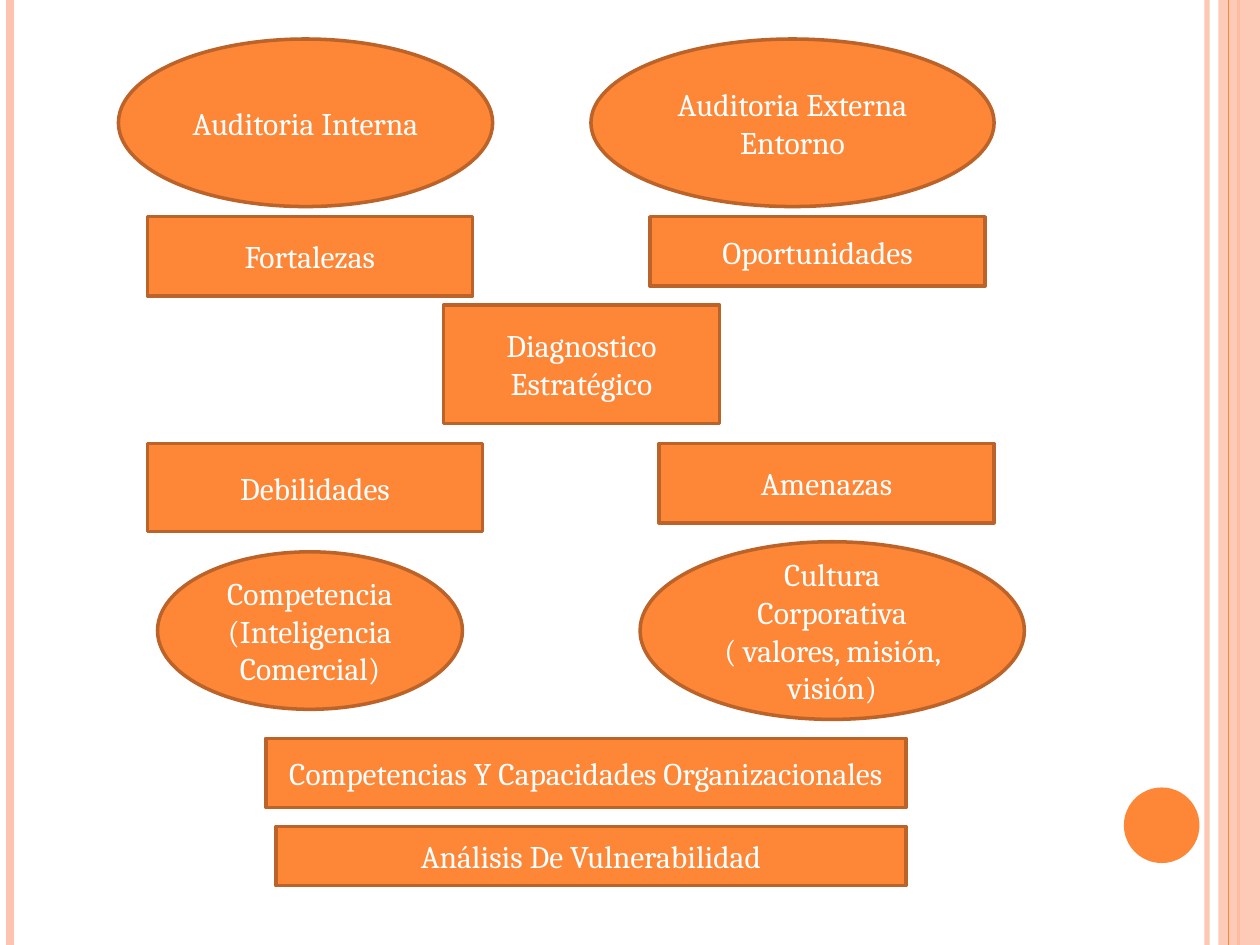
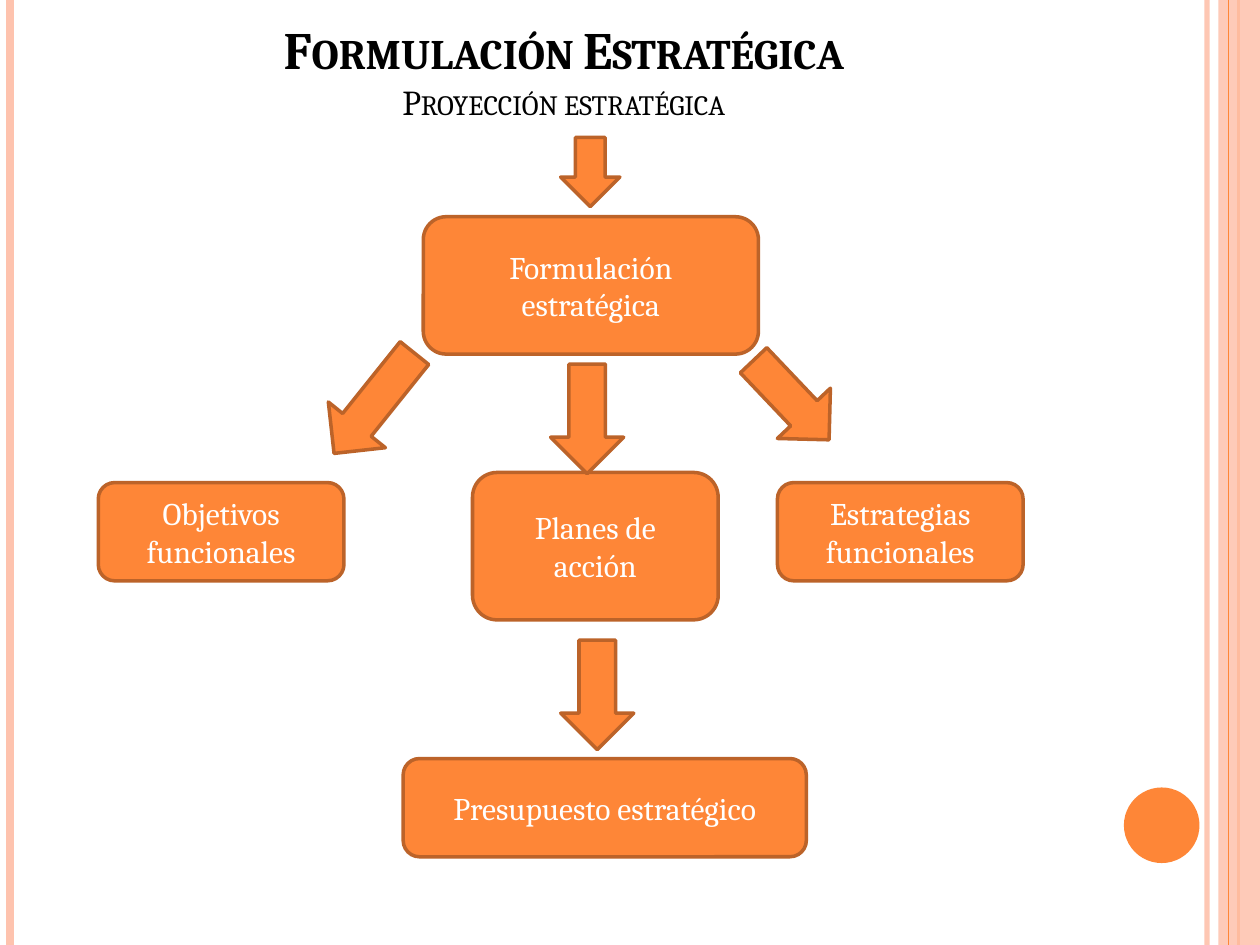
"""Build two slides on strategic diagnosis and strategic formulation."""
from lxml import etree
from pptx import Presentation
from pptx.dml.color import RGBColor
from pptx.enum.shapes import MSO_CONNECTOR, MSO_SHAPE
from pptx.enum.text import MSO_ANCHOR, MSO_AUTO_SIZE, PP_ALIGN
from pptx.oxml.ns import qn
from pptx.util import Inches, Pt

ORANGE = RGBColor(0xFE, 0x86, 0x37)
BROWN = RGBColor(0xBC, 0x63, 0x29)
PEACH = RGBColor(0xFE, 0xC3, 0xAE)
WHITE = RGBColor(0xFF, 0xFF, 0xFF)
BLACK = RGBColor(0, 0, 0)
FONT = "Cambria"
OVAL = MSO_SHAPE.OVAL
RECT = MSO_SHAPE.RECTANGLE
ROUND = MSO_SHAPE.ROUNDED_RECTANGLE
DOWN = MSO_SHAPE.DOWN_ARROW
UP = MSO_SHAPE.UP_ARROW
LINE = MSO_CONNECTOR.STRAIGHT


def write(para, text, size=18, color=WHITE, bold=False):
    para.alignment = PP_ALIGN.CENTER
    run = para.add_run()
    run.text = text
    run.font.name = FONT
    run.font.size = Pt(size)
    run.font.bold = bold
    run.font.color.rgb = color


def draw(slide, kind, box, text="", fill=ORANGE, edge=BROWN, turn=0):
    shape = slide.shapes.add_shape(kind, *map(Inches, box))
    shape.shadow.inherit = False
    shape.rotation = turn
    shape.fill.solid()
    shape.fill.fore_color.rgb = fill
    if edge is None:
        shape.line.fill.background()
    else:
        shape.line.color.rgb = edge
        shape.line.width = Pt(2)
    if text:
        frame = shape.text_frame
        frame.word_wrap = True
        frame.vertical_anchor = MSO_ANCHOR.MIDDLE
        for i, part in enumerate(text.split("\n")):
            write(frame.add_paragraph() if i else frame.paragraphs[0], part)
    return shape


deck = Presentation()
deck.slide_width = Inches(10)
deck.slide_height = Inches(7.5)
audit = deck.slides.add_slide(deck.slide_layouts[6])
plan = deck.slides.add_slide(deck.slide_layouts[5])

rails = [
    (9.58, PEACH, 3, 93),
    (0.08, PEACH, 4.5, 100),
    (9.83, ORANGE, 1.5, 100),
    (9.75, ORANGE, 0.75, 100),
]
for slide in (audit, plan):
    slide.background.fill.solid()
    slide.background.fill.fore_color.rgb = WHITE
    for x, color, width, alpha in rails:
        if x == 9.75:
            band = draw(slide, RECT, (9.67, 0, 0.33, 7.5), fill=PEACH, edge=None)
            tint = band.element.spPr.find(".//" + qn("a:srgbClr"))
            etree.SubElement(tint, qn("a:alpha"), val="87000")
        rail = slide.shapes.add_connector(LINE, Inches(x), 0, Inches(x), Inches(7.5))
        rail.line.color.rgb = color
        rail.line.width = Pt(width)
        if alpha < 100:
            tint = rail.element.spPr.find(".//" + qn("a:srgbClr"))
            etree.SubElement(tint, qn("a:alpha"), val=str(alpha * 1000))
        etree.SubElement(rail.element.spPr, qn("a:effectLst"))
    draw(slide, OVAL, (8.92, 6.25, 0.6, 0.6), edge=None)

topics = [
    (OVAL, (0.94, 0.31, 2.97, 1.33), "Auditoria Interna"),
    (OVAL, (4.69, 0.31, 3.2, 1.33), "Auditoria Externa Entorno"),
    (RECT, (1.17, 1.72, 2.58, 0.63), "Fortalezas"),
    (RECT, (5.16, 1.72, 2.66, 0.55), "Oportunidades"),
    (RECT, (3.52, 2.42, 2.19, 0.94), "Diagnostico Estratégico"),
    (RECT, (1.17, 3.52, 2.66, 0.7), "Debilidades"),
    (RECT, (5.23, 3.52, 2.66, 0.63), "Amenazas"),
    (OVAL, (1.25, 4.38, 2.42, 1.25), "Competencia\n(Inteligencia\nComercial)"),
    (OVAL, (5.08, 4.3, 3.05, 1.41), "Cultura\nCorporativa\n( valores, misión, visión)"),
    (RECT, (2.11, 5.86, 5.08, 0.55), "Competencias Y Capacidades Organizacionales"),
    (RECT, (2.19, 6.56, 5, 0.47), "Análisis De Vulnerabilidad"),
]
for kind, box, text in topics:
    draw(audit, kind, box, text)

title = plan.shapes.title
title.left, title.top = Inches(0.39), Inches(-0.31)
title.width, title.height = Inches(8.17), Inches(1.33)
frame = title.text_frame
frame.word_wrap = True
frame.auto_size = MSO_AUTO_SIZE.NONE
frame.vertical_anchor = MSO_ANCHOR.BOTTOM
head = frame.paragraphs[0]
write(head, "Formulación Estratégica", size=30, color=BLACK, bold=True)
head.add_line_break()
write(head, "Proyección estratégica", size=20, color=BLACK)
for props in title.element.iter(qn("a:rPr")):
    props.set("cap", "small")

draw(plan, DOWN, (4.45, 1.09, 0.47, 0.55))
steps = [
    ((3.36, 1.72, 2.66, 1.09), "Formulación estratégica"),
    ((3.75, 3.75, 1.95, 1.17), "Planes de acción"),
    ((3.2, 6.02, 3.2, 0.78), "Presupuesto estratégico"),
    ((6.17, 3.83, 1.95, 0.78), "Estrategias funcionales"),
    ((0.78, 3.83, 1.95, 0.78), "Objetivos funcionales"),
]
for box, text in steps:
    draw(plan, ROUND, box, text)

arrows = [
    (2.68, 2.69, 1.02, 218.7),
    (4.37, 2.89, 0.87, 180),
    (5.99, 2.74, 0.87, 136.5),
    (4.45, 5.08, 0.87, 180),
]
for x, y, length, turn in arrows:
    draw(plan, UP, (x, y, 0.58, length), turn=turn)

deck.save("out.pptx")
